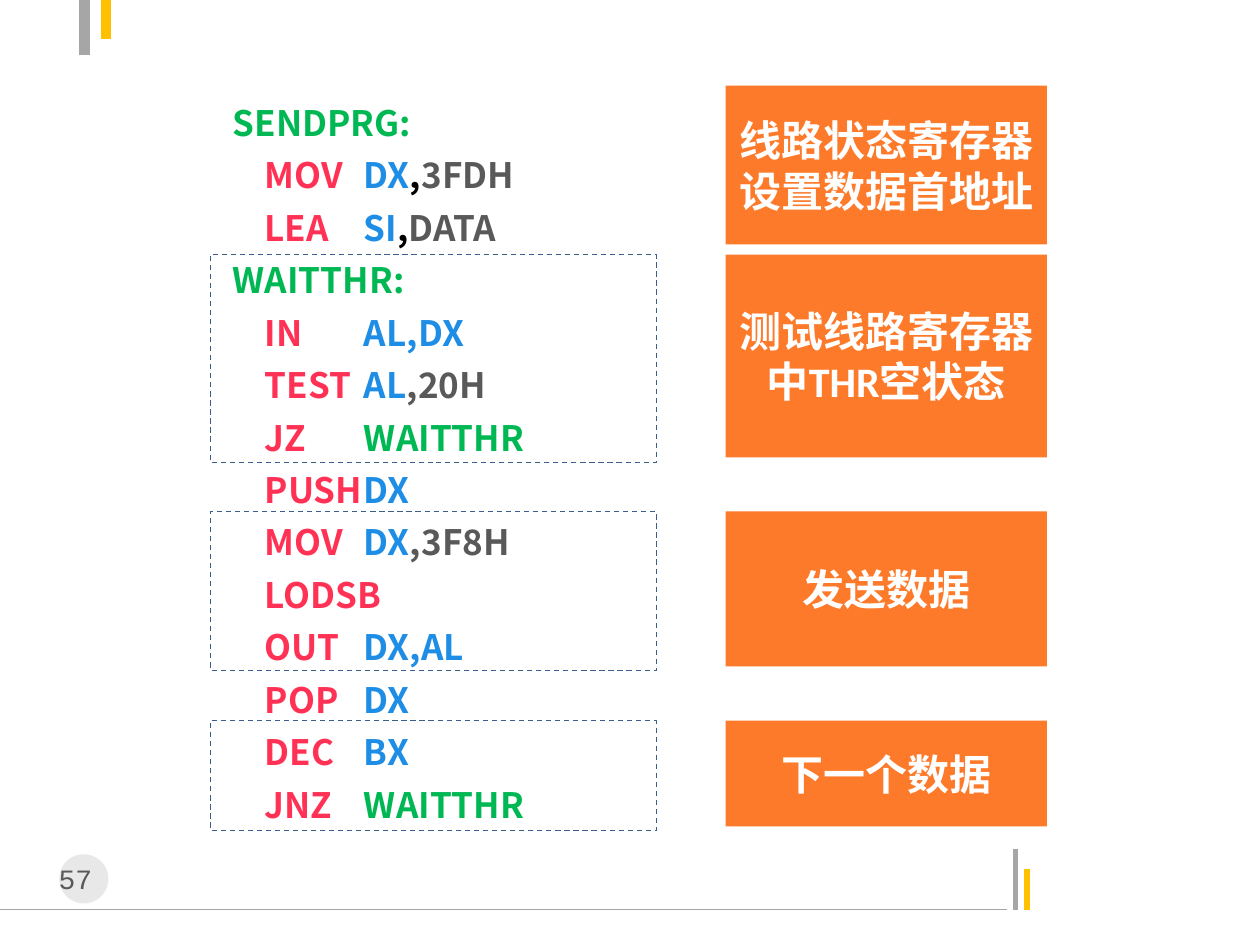
from lxml import etree
from pptx import Presentation
from pptx import util as u
from pptx.dml.color import RGBColor
from pptx.enum import dml, shapes, text
from pptx.oxml.ns import qn

Inches, Pt = u.Inches, u.Pt
COLORS = {
    "label": "00B853", "op": "FF3255", "reg": "1D8DE5", "num": "595959",
    "black": "000000", "white": "FFFFFF", "orange": "FD7A2A",
    "dash": "3A5F8C", "gray": "A6A6A6", "gold": "FFC000", "badge": "BFBFBF",
}


def rgb(name):
    return RGBColor.from_string(COLORS[name])


def style(r, font, size, color, bold=False):
    r.font.name, r.font.size, r.font.bold = font, Pt(size), bold
    r.font.color.rgb = rgb(color)


prs = Presentation()
prs.slide_width, prs.slide_height = Inches(10), Inches(7.5)
s = prs.slides.add_slide(prs.slide_layouts[6])

# Corner and footer lines: x1, y1, x2, y2, colour, width
for x1, y1, x2, y2, color, width in [
    (0, 7.22, 7.99, 7.22, "gray", 0.75),
    (8.06, 7.22, 8.06, 6.74, "gray", 3),
    (8.15, 7.22, 8.15, 6.9, "gold", 3),
    (0.67, 0.44, 0.67, -0.03, "gray", 6),
    (0.84, 0, 0.84, 0.31, "gold", 6),
]:
    line = s.shapes.add_connector(shapes.MSO_CONNECTOR.STRAIGHT,
                                  Inches(x1), Inches(y1), Inches(x2), Inches(y2))
    line.line.color.rgb = rgb(color)
    line.line.width = Pt(width)
    etree.SubElement(line._element.spPr, qn("a:effectLst"))

# Page number on its translucent badge
badge = s.shapes.add_shape(shapes.MSO_SHAPE.OVAL, Inches(0.47), Inches(6.78),
                           Inches(0.39), Inches(0.39))
badge.shadow.inherit = False
badge.fill.solid()
badge.fill.fore_color.rgb = rgb("badge")
badge.line.fill.background()
fill_color = badge._element.spPr.find(qn("a:solidFill"))[0]
etree.SubElement(fill_color, qn("a:alpha"), val="35000")

number = s.shapes.add_textbox(Inches(0.31), Inches(6.79), Inches(0.71), Inches(0.37))
tf = number.text_frame
tf.word_wrap = True
tf.margin_right = Inches(0.23)
tf.text = "57"
p = tf.paragraphs[0]
p.alignment = text.PP_ALIGN.CENTER
style(p.runs[0], "Courier New", 16, "num")

# Assembly listing: a label, or an instruction followed by coloured operands
listing = [
    [("SENDPRG:", "label")],
    [("    MOV", "op"), ("DX", "reg"), (",", "black"), ("3FDH", "num")],
    [("    LEA", "op"), ("SI", "reg"), (",", "black"), ("DATA", "num")],
    [("WAITTHR:", "label")],
    [("    IN", "op"), ("AL,DX", "reg")],
    [("    TEST", "op"), ("AL", "reg"), (",20H", "num")],
    [("    JZ", "op"), ("WAITTHR", "label")],
    [("    PUSH", "op"), ("DX", "reg")],
    [("    MOV", "op"), ("DX", "reg"), (",3F8H", "num")],
    [("    LODSB", "op")],
    [("    OUT", "op"), ("DX,AL", "reg")],
    [("    POP", "op"), ("DX", "reg")],
    [("    DEC", "op"), ("BX", "reg")],
    [("    JNZ", "op"), ("WAITTHR", "label")],
]
code = s.shapes.add_textbox(Inches(1.75), Inches(0.67), Inches(3.62), Inches(5.99))
tf = code.text_frame
tf.word_wrap = True
for i, parts in enumerate(listing):
    p = tf.add_paragraph() if i else tf.paragraphs[0]
    p.line_spacing = 1.25
    tabs = etree.SubElement(p._p.get_or_add_pPr(), qn("a:tabLst"))
    etree.SubElement(tabs, qn("a:tab"), pos=str(Inches(1.04)), algn="l")
    for j, (words, color) in enumerate(parts):
        r = p.add_run()
        r.text = words + "\t" if j == 0 and len(parts) > 1 else words
        style(r, "Noto Sans CJK SC", 20, color, True)

# Explanations: top, note height, note, height of the dashed frame around the code
for top, height, note, frame_height in [
    (0.68, 1.26, "线路状态寄存器\n设置数据首地址", None),
    (2.02, 1.61, "测试线路寄存器中THR空状态", 1.65),
    (4.06, 1.23, "发送数据", 1.26),
    (5.72, 0.84, "下一个数据", 0.87),
]:
    if frame_height:
        frame = s.shapes.add_shape(shapes.MSO_SHAPE.RECTANGLE, Inches(1.67), Inches(top),
                                   Inches(3.54), Inches(frame_height))
        frame.shadow.inherit = False
        frame.fill.background()
        frame.line.color.rgb = rgb("dash")
        frame.line.width = Pt(0.75)
        frame.line.dash_style = dml.MSO_LINE.DASH
    box = s.shapes.add_shape(shapes.MSO_SHAPE.RECTANGLE, Inches(5.76), Inches(top),
                             Inches(2.55), Inches(height))
    box.shadow.inherit = False
    box.fill.solid()
    box.fill.fore_color.rgb = rgb("orange")
    box.line.fill.background()
    tf = box.text_frame
    tf.word_wrap = True
    tf.vertical_anchor = text.MSO_ANCHOR.MIDDLE
    tf.text = note
    for p in tf.paragraphs:
        p.alignment = text.PP_ALIGN.CENTER
        style(p.runs[0], "Calibri", 24, "white", True)

prs.save("out.pptx")
